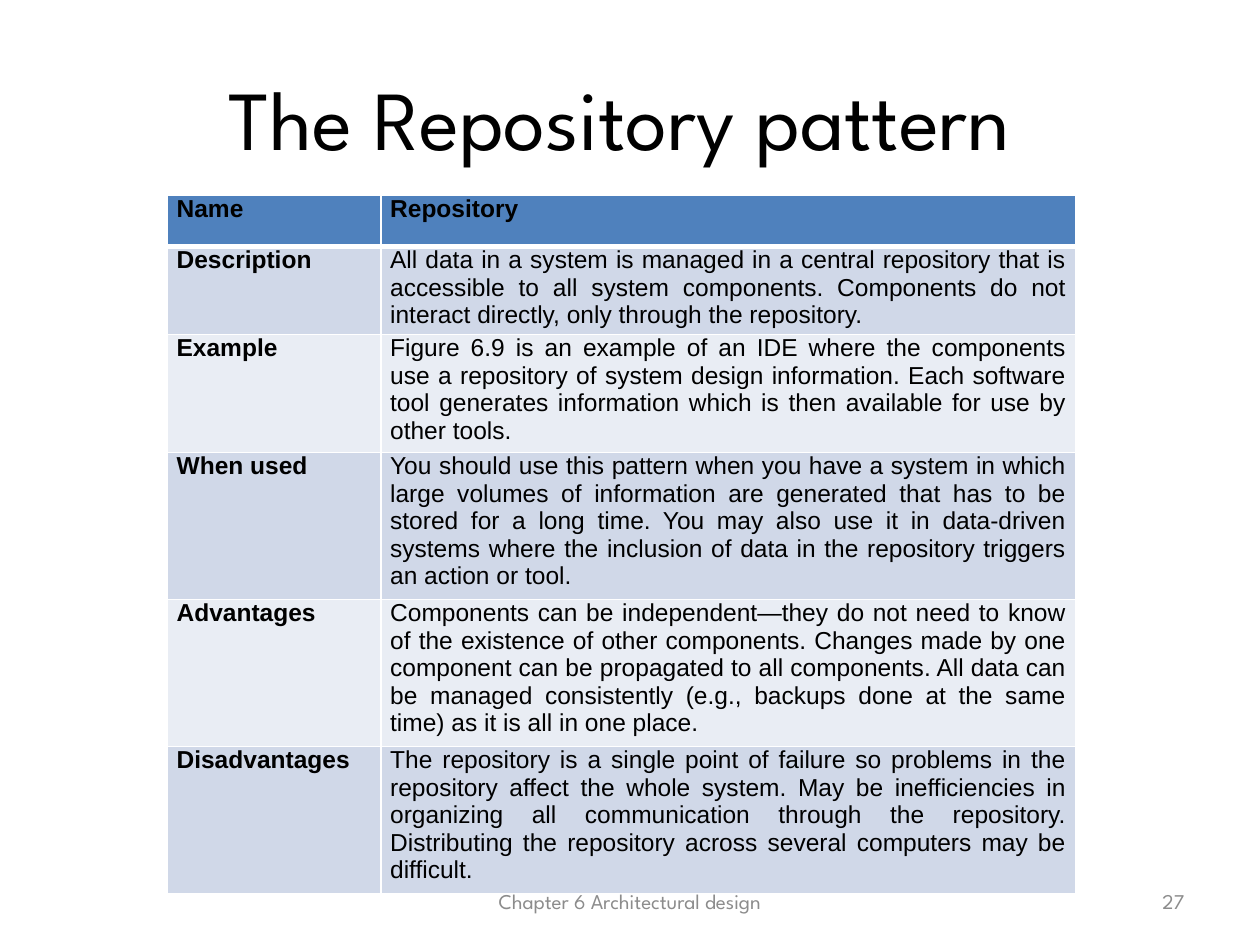
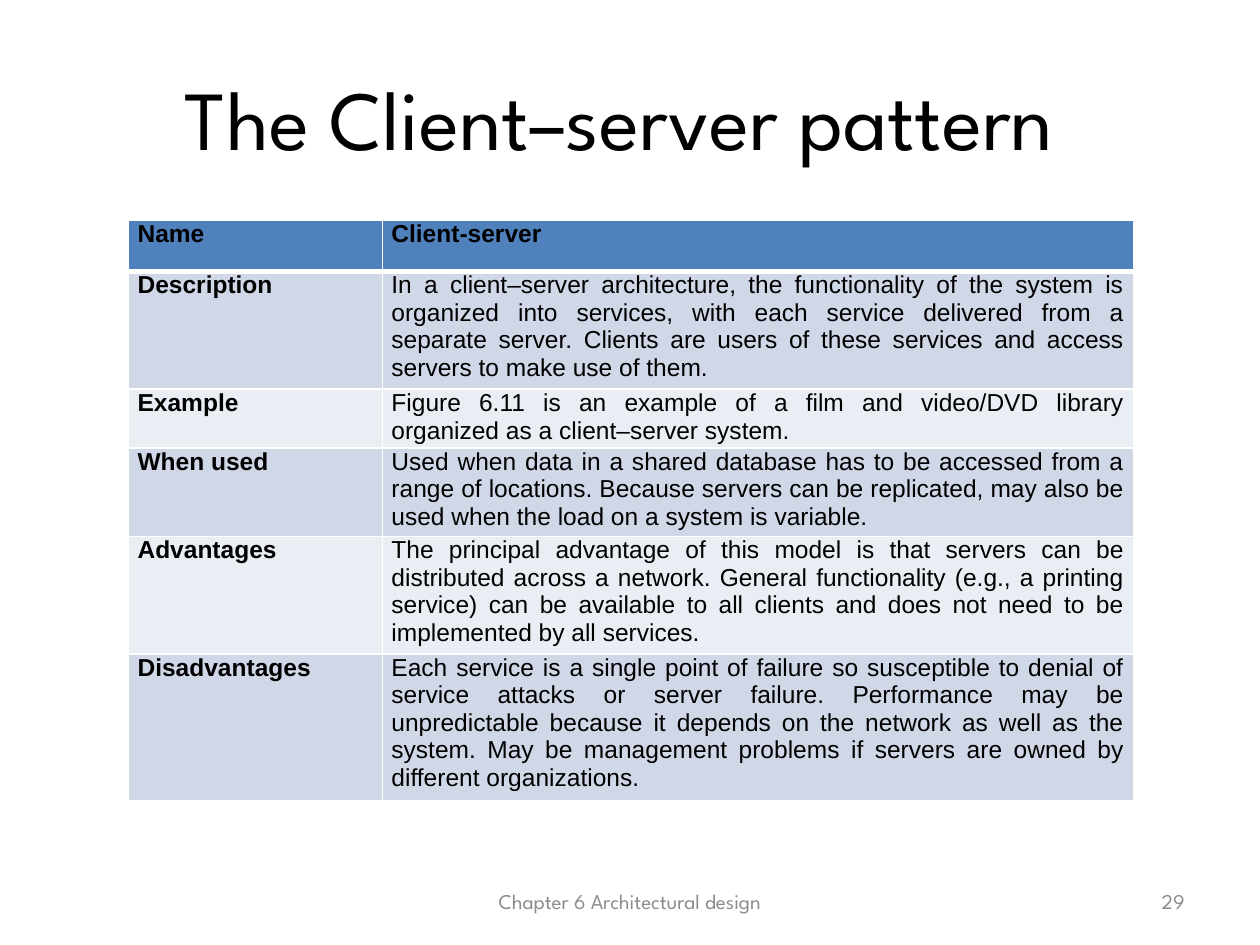
import pptx
import pptx.dml.color
import pptx.enum.text
import pptx.oxml
import pptx.oxml.ns
import pptx.util

BLACK = pptx.dml.color.RGBColor(0x00, 0x00, 0x00)
WHITE = pptx.dml.color.RGBColor(0xFF, 0xFF, 0xFF)
GREY = pptx.dml.color.RGBColor(0x8C, 0x8C, 0x8C)
HEADER_BLUE = pptx.dml.color.RGBColor(0x4F, 0x81, 0xBD)
BAND_DARK = pptx.dml.color.RGBColor(0xD0, 0xD8, 0xE8)
BAND_LIGHT = pptx.dml.color.RGBColor(0xE9, 0xED, 0xF4)

ALIGN = pptx.enum.text.PP_ALIGN
MIDDLE = pptx.enum.text.MSO_ANCHOR.MIDDLE
HEADING_FONT = "League Spartan"
TABLE_FONT = "Arial"
GRID_COLUMNS, GRID_ROWS = 100, 75
MIN_ROW = 4.05
CELL_MARGIN = 0.72
ASPECTS = ["Name", "Description", "Example", "When used", "Advantages", "Disadvantages"]

PATTERNS = [
    {
        "title": "The Repository pattern ",
        "number": 27,
        "place": (13.3, 15.5),
        "widths": (16.95, 55.1),
        "details": [
            "Repository ",
            "All data in a system is managed in a central repository that is accessible to all system "
            "components. Components do not interact directly, only through the repository. ",
            "Figure 6.9 is an example of an IDE where the components use a repository of system design "
            "information. Each software tool generates information which is then available for use by "
            "other tools.",
            "You should use this pattern when you have a system in which large volumes of information "
            "are generated that has to be stored for a long time. You may also use it in data-driven "
            "systems where the inclusion of data in the repository triggers an action or tool.",
            "Components can be independent—they do not need to know of the existence of other "
            "components. Changes made by one component can be propagated to all components. All data "
            "can be managed consistently (e.g., backups done at the same time) as it is all in one place. ",
            "The repository is a single point of failure so problems in the repository affect the whole "
            "system. May be inefficiencies in organizing all communication through the repository. "
            "Distributing the repository across several computers may be difficult.",
        ],
    },
    {
        "title": "The Client–server pattern ",
        "number": 29,
        "place": (10.2, 17.5),
        "widths": (20.15, 59.6),
        "details": [
            "Client-server",
            "In a client–server architecture, the functionality of the system is organized into "
            "services, with each service delivered from a separate server. Clients are users of these "
            "services and access servers to make use of them.",
            "Figure 6.11 is an example of a film and video/DVD library organized as a client–server "
            "system.",
            "Used when data in a shared database has to be accessed from a range of locations. Because "
            "servers can be replicated, may also be used when the load on a system is variable.",
            "The principal advantage of this model is that servers can be distributed across a network. "
            "General functionality (e.g., a printing service) can be available to all clients and does "
            "not need to be implemented by all services. ",
            "Each service is a single point of failure so susceptible to denial of service attacks or "
            "server failure. Performance may be unpredictable because it depends on the network as "
            "well as the system. May be management problems if servers are owned by different "
            "organizations.",
        ],
    },
]


def write(frame, text, font=HEADING_FONT, size=12, color=BLACK, bold=False, align=ALIGN.CENTER):
    paragraph = frame.paragraphs[0]
    paragraph.alignment = align
    run = paragraph.add_run()
    run.text = text
    run.font.name = font
    run.font.size = pptx.util.Pt(size)
    run.font.bold = bold
    run.font.color.rgb = color


def set_borders(cell, **widths):
    properties = cell._tc.get_or_add_tcPr()
    for position, side in enumerate("LRTB"):
        border = pptx.oxml.parse_xml(
            f'<a:ln{side} {pptx.oxml.ns.nsdecls("a")} w="{pptx.util.Pt(widths.get(side, 1))}">'
            f'<a:solidFill><a:srgbClr val="{WHITE}"/></a:solidFill></a:ln{side}>'
        )
        properties.insert(position, border)


class PatternDeck:
    def __init__(self):
        self.presentation = pptx.Presentation()
        self.presentation.slide_width = pptx.util.Inches(10)
        self.presentation.slide_height = pptx.util.Inches(7.5)
        self.slide = None

    def x(self, columns):
        return round(self.presentation.slide_width * columns / GRID_COLUMNS)

    def y(self, rows):
        return round(self.presentation.slide_height * rows / GRID_ROWS)

    def new_slide(self):
        self.slide = self.presentation.slides.add_slide(self.presentation.slide_layouts[6])

    def label(self, text, left, top, width, height, **style):
        box = self.slide.shapes.add_textbox(self.x(left), self.y(top), self.x(width), self.y(height))
        box.text_frame.word_wrap = True
        box.text_frame.vertical_anchor = MIDDLE
        write(box.text_frame, text, **style)

    def title(self, text):
        self.label(text, 5, 3, 90, 12.5, size=48)

    def footer(self, number):
        self.label("Chapter 6 Architectural design", 34.15, 69.5, 31.7, 4, color=GREY)
        self.label(str(number), 71.7, 69.5, 23.3, 4, color=GREY, align=ALIGN.RIGHT)

    def pattern_table(self, details, place, widths):
        left, top = place
        table = self.slide.shapes.add_table(
            len(ASPECTS), len(widths), self.x(left), self.y(top),
            self.x(sum(widths)), self.y(MIN_ROW * len(ASPECTS)),
        ).table
        for column, width in zip(table.columns, widths):
            column.width = self.x(width)
        for row, entry in enumerate(zip(ASPECTS, details)):
            for column, text in enumerate(entry):
                self.fill_cell(table.cell(row, column), text, row, column)

    def fill_cell(self, cell, text, row, column):
        cell.margin_left = cell.margin_right = self.x(CELL_MARGIN)
        cell.margin_top = cell.margin_bottom = 0
        cell.fill.solid()
        band = BAND_DARK if row % 2 else BAND_LIGHT
        cell.fill.fore_color.rgb = band if row else HEADER_BLUE
        set_borders(cell, T=3 if row == 1 else 1, B=1 if row else 3)
        bold = row == 0 or column == 0
        write(cell.text_frame, text, font=TABLE_FONT, size=14, bold=bold, align=ALIGN.JUSTIFY)


def main():
    deck = PatternDeck()
    for pattern in PATTERNS:
        deck.new_slide()
        deck.title(pattern["title"])
        deck.pattern_table(pattern["details"], pattern["place"], pattern["widths"])
        deck.footer(pattern["number"])
    deck.presentation.save("out.pptx")


if __name__ == "__main__":
    main()
